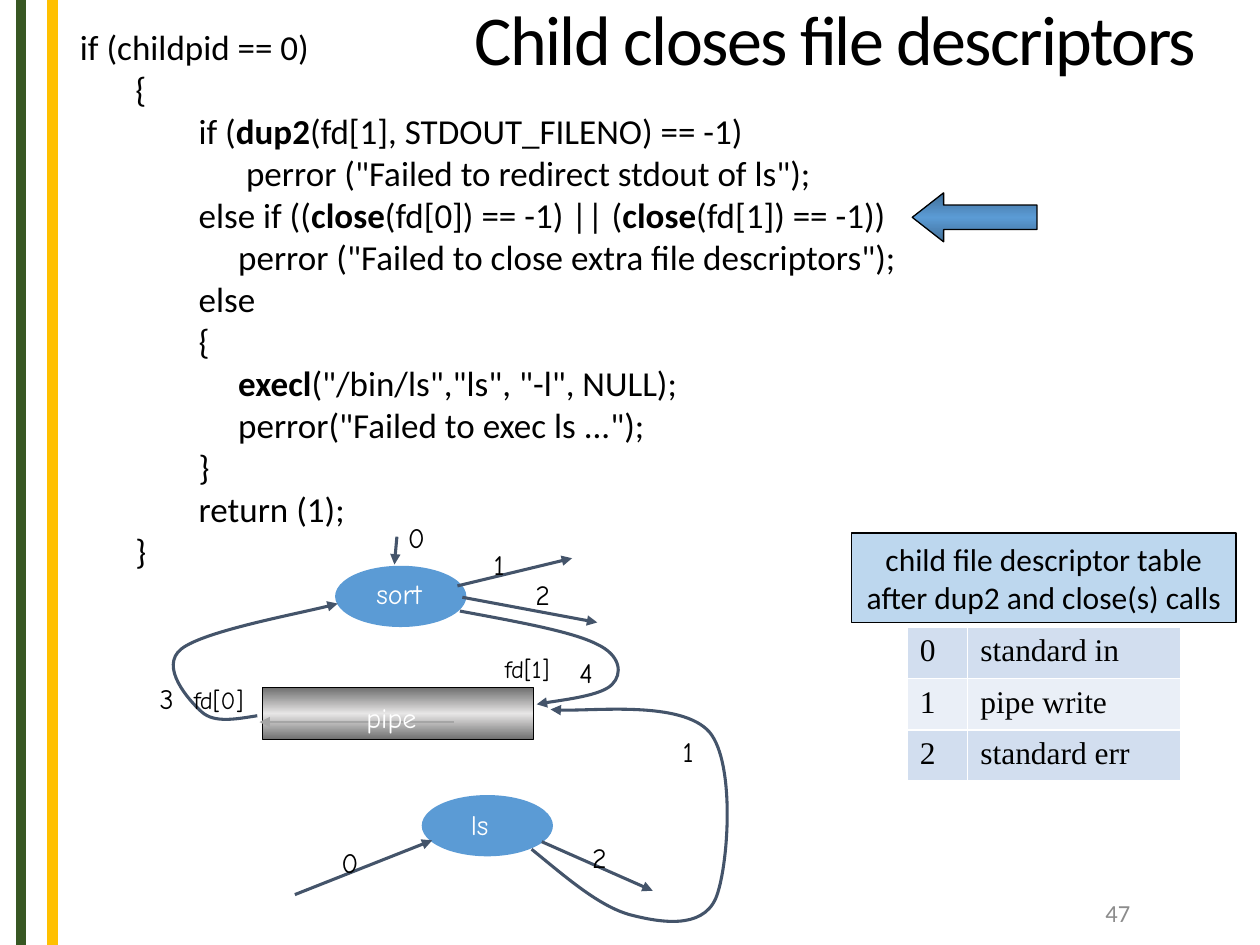
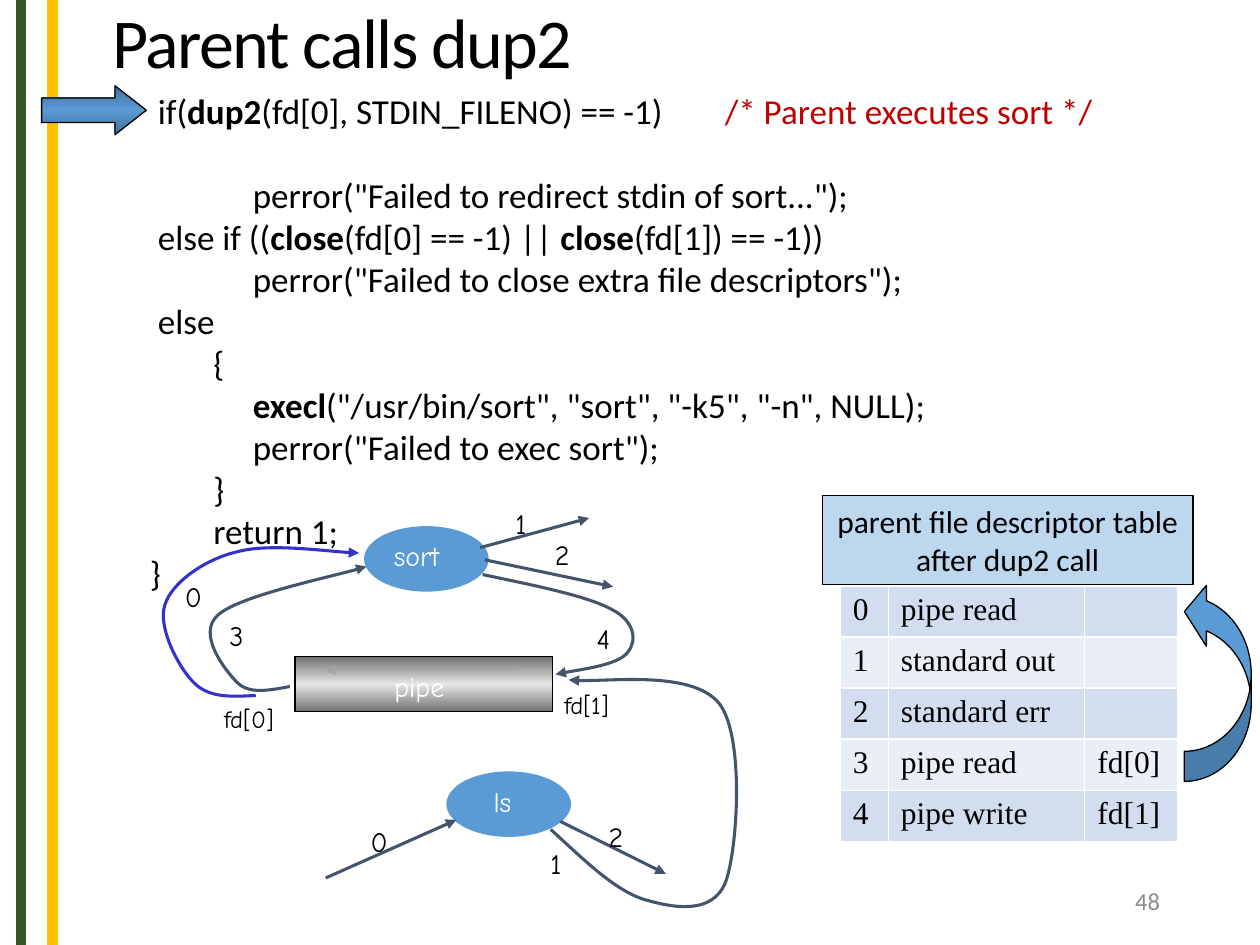
import copy

import pptx
import pptx.dml.color
import pptx.enum.shapes
import pptx.enum.text
import pptx.oxml.ns
import pptx.util
from lxml import etree

Pt = pptx.util.Pt
RGB = pptx.dml.color.RGBColor
KIND = pptx.enum.shapes.MSO_SHAPE
ALIGN = pptx.enum.text.PP_ALIGN
MIDDLE = pptx.enum.text.MSO_ANCHOR.MIDDLE
qn = pptx.oxml.ns.qn

BLACK = RGB(0, 0, 0)
WHITE = RGB(255, 255, 255)
GREEN = RGB(0x38, 0x57, 0x23)
GOLD = RGB(0xFF, 0xC0, 0x00)
BLUE = RGB(0x5B, 0x9B, 0xD5)
NAVY = RGB(0x41, 0x6F, 0x98)
PALE = RGB(0xBD, 0xD7, 0xEE)
SLATE = RGB(0x44, 0x54, 0x6A)
VIOLET = RGB(0x33, 0x33, 0xCC)
RED = RGB(0xC0, 0, 0)
GREY = RGB(0xA5, 0xA5, 0xA5)
DARK = RGB(0x70, 0x70, 0x70)
LIGHT = RGB(0xE7, 0xE6, 0xE6)
DIM = RGB(0x8C, 0x8C, 0x8C)
BANDS = [RGB(0xD2, 0xDE, 0xEF), RGB(0xEA, 0xEF, 0xF7)]

TITLE = {"name": "Calibri", "size": Pt(40)}
CODE = {"name": "Calibri", "size": Pt(20)}
NOTE = {"name": "Calibri", "size": Pt(18)}
PAGE = {"name": "Calibri", "size": Pt(14)}
CELL = {"name": "Times New Roman", "size": Pt(18)}
MARK = {"name": "Comic Neue", "size": Pt(16)}
SMALL = {"name": "Comic Neue", "size": Pt(14)}
SPACE = 4.52  # width of one code column

# The process diagram: both slides show it, the second one rescaled.
PIPE = (150, 393, 155, 29.5)
NODES = [(241, 454.3, 75, 35), (191.5, 323.3, 75, 35)]
LINKS = [
    [(168.5, 511.2), (247, 480.2)],
    [(309.6, 481), (373, 509)],
    [(261.4, 334.8), (326.9, 319)],
    [(264.2, 341.3), (341.3, 355.7)],
    [(147, 409), (134.6, 411), (122.4, 413.3), (115.2, 406.8),
     (108, 400.3), (90.7, 380.9), (103.7, 370.8),
     (116.6, 360.7), (178.6, 349.2), (193, 344.9)],
    [(262.8, 349.2), (293.8, 355), (326.2, 360.7), (340.6, 367.9),
     (355, 374.4), (355.7, 385.2), (349.9, 391),
     (344.2, 397.4), (313.9, 401), (306.7, 402.5)],
    [(303.8, 485.3), (323.3, 501.1), (342, 517.7), (360, 522.7),
     (376.6, 527), (401, 531.4), (409, 513.4),
     (416.2, 496.1), (420.5, 436.3), (405.4, 418.3),
     (389.5, 400.3), (329.8, 407.5), (314.6, 405.4)],
]
MARKS = [("pipe", 202.3, 396.7), ("ls", 262, 458), ("0", 188, 479.5),
         ("2", 331.2, 476.6), ("1", 275, 309.6), ("2", 298.8, 326.2),
         ("4", 324, 370.8)]

SLIDES = [
    {
        "title": "Child closes file descriptors",
        "head": (264, -20, 456, 90),
        "page": ("47", 491, 507),
        "body": (34, 11, 500, 346),
        "code": [
            (1, "if (childpid == 0)"),
            (8, "{"),
            (16, "if (`dup2`(fd[1], STDOUT_FILENO) == -1)"),
            (22, 'perror ("Failed to redirect stdout of ls");'),
            (16, "else if ((`close`(fd[0]) == -1) || (`close`(fd[1]) == -1))"),
            (21, 'perror ("Failed to close extra file descriptors");'),
            (16, "else"),
            (16, "{"),
            (21, '`execl`("/bin/ls","ls", "-l", NULL);'),
            (21, 'perror("Failed to exec ls ...");'),
            (16, "}"),
            (16, "return (1);"),
            (8, "}"),
        ],
        "note": ["child file descriptor table", "after dup2 and close(s) calls"],
        "box": (486.7, 304.6, 219.6, 51),
        "arrow": (521.3, 110.2, 71.3, 28),
        "turn": 0,
        "scale": (1, 1, 0, 0),
        "marks": [("sort", 208, 326), ("3", 84.2, 386), ("1", 383, 416),
                  ("0", 226, 293.8), ("fd[0]", 103.7, 388), ("fd[1]", 281.5, 370)],
        "links": [([(226.8, 306.7), (225.4, 322.6)], SLATE, 1.75),
                  ([(259.2, 412.6), (148.3, 412.6)], GREY, 0.75)],
        "grid": (518.4, 358.6),
        "cols": [34.6, 121.7],
        "rows": [["0", "standard in"], ["1", "pipe write"], ["2", "standard err"]],
    },
    {
        "title": "Parent calls dup2",
        "head": (57, -18, 555, 90),
        "page": ("48", 508, 500.4),
        "body": (78.5, 47.5, 600, 300),
        "code": [
            (1, "if(`dup2`(fd[0], STDIN_FILENO) == -1)"),
            (13, 'perror("Failed to redirect stdin of sort...");'),
            (1, "else if ((`close`(fd[0] == -1) || `close`(fd[1]) == -1))"),
            (13, 'perror("Failed to close extra file descriptors");'),
            (1, "else"),
            (8, "{"),
            (13, '`execl`("/usr/bin/sort", "sort", "-k5", "-n", NULL);'),
            (13, 'perror("Failed to exec sort");'),
            (8, "}"),
            (8, "return 1;"),
            (0, "}"),
        ],
        "note": ["parent file descriptor table", "after dup2 call"],
        "box": (470, 283, 211.7, 51),
        "arrow": (23.8, 49, 59.8, 28),
        "turn": 180,
        "scale": (0.95, 1.07, 26.1, -45.3),
        "marks": [("sort", 218, 304), ("3", 124, 350), ("1", 307.4, 480),
                  ("0", 98.6, 327.6), ("fd[0]", 121, 399), ("fd[1]", 315.4, 391)],
        "links": [([(146.2, 397.4), (132.5, 398.2), (119.5, 398.9), (110.9, 390.2),
                    (101.5, 380.9), (90, 357.8), (94.3, 345.6),
                    (97.9, 333.4), (116.6, 319.7), (135.4, 315.4),
                    (153.4, 310.3), (193.7, 316), (205.2, 316)], VIOLET, 1.75),
                  ([(296, 383), (185.8, 383)], GREY, 0.75)],
        "grid": (480.2, 334.8),
        "cols": [27.4, 112.3, 53.3],
        "rows": [["0", "pipe read", ""], ["1", "standard out", ""],
                 ["2", "standard err", ""], ["3", "pipe read", "fd[0]"],
                 ["4", "pipe write", "fd[1]"]],
    },
]


def write(frame, lines, look, ink=BLACK, form={}):
    """Fill a frame with one paragraph per line; `ticks` mark bold words."""
    frame.word_wrap = True
    for i, line in enumerate(lines):
        par = frame.add_paragraph() if i else frame.paragraphs[0]
        for key, val in form.items():
            setattr(par, key, val)
        for j, bit in enumerate(line.split("`")):
            if bit:
                run = par.add_run()
                run.text = bit
                for key, val in look.items():
                    setattr(run.font, key, val)
                run.font.bold = j % 2 == 1
                run.font.color.rgb = ink


def link(shapes, dots, ink, width, head=True):
    """Draw a straight line through two dots, or a Bezier curve through more."""
    dots = [(Pt(x), Pt(y)) for x, y in dots]
    if len(dots) == 2:
        line = shapes.add_connector(1, *dots[0], *dots[1])
        etree.SubElement(line._element.spPr, qn("a:effectLst"))
    else:
        form = shapes.build_freeform(*dots[0], scale=1.0)
        form.add_line_segments(dots[1:], close=False)
        line = form.convert_to_shape()
        line.shadow.inherit = False
        line.fill.background()
        way = line._element.find(".//" + qn("a:path"))
        legs = way.findall(qn("a:lnTo"))
        for i in range(0, len(legs), 3):
            bend = etree.SubElement(way, qn("a:cubicBezTo"))
            for leg in legs[i:i + 3]:
                bend.append(leg[0])
                way.remove(leg)
    line.line.color.rgb = ink
    line.line.width = Pt(width)
    if head:
        ln = line._element.spPr.find(qn("a:ln"))
        etree.SubElement(ln, qn("a:tailEnd"), type="triangle")
    return line


prs = pptx.Presentation()
prs.slide_width, prs.slide_height = Pt(720), Pt(540)
layout = prs.slide_layouts[1]

for num, data in enumerate(SLIDES):
    slide = prs.slides.add_slide(layout)
    shapes = slide.shapes

    if num == 0:  # the side bands belong to the layout
        for x, ink in [(12, GREEN), (30, GOLD)]:
            band = link(shapes, [(x, 0), (x, 540)], ink, 6, head=False)
            layout.shapes._spTree.append(band._element)

    title, body = shapes.title, slide.placeholders[1]
    for item, box in [(title, data["head"]), (body, data["body"])]:
        for key, val in zip(("left", "top", "width", "height"), box):
            setattr(item, key, Pt(val))
        item.text_frame.auto_size = pptx.enum.text.MSO_AUTO_SIZE.NONE
    title.text_frame.vertical_anchor = MIDDLE
    write(title.text_frame, [data["title"]], TITLE,
          form={"alignment": ALIGN.LEFT, "line_spacing": 0.85})
    title.text_frame.paragraphs[0].runs[0].font._element.set("spc", "-90")

    write(body.text_frame, [line for _, line in data["code"]], CODE,
          form={"space_before": Pt(0)})
    pars = body.text_frame.paragraphs
    for par, (cols, _) in zip(pars, data["code"]):
        props = par._p.get_or_add_pPr()
        props.set("marL", str(Pt(cols * SPACE)))
        props.set("indent", "0")
        etree.SubElement(props, qn("a:buNone"))
    if num == 1:
        tabs = etree.SubElement(pars[0]._p.pPr, qn("a:tabLst"))
        etree.SubElement(tabs, qn("a:tab"), pos=str(Pt(316)), algn="l")
        run = pars[0].add_run()
        run.text = "\t/* Parent executes sort */"
        for key, val in CODE.items():
            setattr(run.font, key, val)
        run.font.color.rgb = RED
        pars[1].space_before = Pt(24)

    note = shapes.add_shape(KIND.RECTANGLE, *map(Pt, data["box"]))
    note.shadow.inherit = False
    note.fill.solid()
    note.fill.fore_color.rgb = PALE
    note.line.color.rgb = BLACK
    note.line.width = Pt(0.75)
    note.text_frame.margin_left = note.text_frame.margin_right = 0
    write(note.text_frame, data["note"], NOTE, form={"alignment": ALIGN.CENTER})

    sx, sy, dx, dy = data["scale"]
    x, y, w, h = PIPE
    pipe = (x * sx + dx, y * sy + dy, w * sx, h * sy)
    for kind, box, edge, core in [(KIND.LEFT_ARROW, data["arrow"], NAVY, BLUE),
                                  (KIND.RECTANGLE, pipe, DARK, LIGHT)]:
        bar = shapes.add_shape(kind, *map(Pt, box))
        bar.shadow.inherit = False
        bar.line.color.rgb = BLACK
        bar.line.width = Pt(0.75)
        bar.fill.gradient()
        bar.fill.gradient_angle = 90
        stops = bar._element.find(".//" + qn("a:gsLst"))
        stops.append(copy.deepcopy(stops[0]))
        for stop, pos, ink in zip(bar.fill.gradient_stops, (0, 0.5, 1), (edge, core, edge)):
            stop.position = pos
            stop.color.rgb = ink
        if kind == KIND.LEFT_ARROW:
            bar.adjustments[1] = 0.64
            bar.rotation = data["turn"]

    for x, y, w, h in NODES:
        box = (x * sx + dx, y * sy + dy, w * sx, h * sy)
        node = shapes.add_shape(KIND.OVAL, *map(Pt, box))
        node.shadow.inherit = False
        node.fill.solid()
        node.fill.fore_color.rgb = BLUE
        node.line.fill.background()

    for dots in LINKS:
        link(shapes, [(x * sx + dx, y * sy + dy) for x, y in dots], SLATE, 1.75)
    for dots, ink, width in data["links"]:
        link(shapes, dots, ink, width)

    marks = [(text, x * sx + dx, y * sy + dy) for text, x, y in MARKS]
    for text, x, y in marks + data["marks"]:
        wide = 24 if len(text) == 1 else 47
        mark = shapes.add_textbox(Pt(x), Pt(y), Pt(wide), Pt(24))
        mark.text_frame.margin_right = 0
        write(mark.text_frame, [text], SMALL if "fd" in text else MARK,
              WHITE if text in ("pipe", "ls", "sort") else BLACK)

    if num == 1:
        turn = shapes.add_shape(KIND.CURVED_LEFT_ARROW, Pt(676.8), Pt(332), Pt(38.2), Pt(114.5))
        turn.shadow.inherit = False
        turn.rotation = 180
        turn._element.spPr.find(qn("a:xfrm")).set("flipH", "1")
        for i, val in enumerate((0.45, 0.91, 0.33)):
            turn.adjustments[i] = val
        turn.fill.solid()
        turn.fill.fore_color.rgb = BLUE
        turn.line.color.rgb = BLACK
        turn.line.width = Pt(0.75)

    text, x, y = data["page"]
    page = shapes.add_textbox(Pt(x), Pt(y), Pt(162), Pt(28.8))
    page.text_frame.vertical_anchor = MIDDLE
    write(page.text_frame, [text], PAGE, DIM, {"alignment": ALIGN.RIGHT})

    rows, cols = data["rows"], data["cols"]
    x, y = data["grid"]
    grid = shapes.add_table(len(rows), len(cols), Pt(x), Pt(y),
                            Pt(sum(cols)), Pt(29.2 * len(rows))).table
    grid.first_row = False
    for col, wide in zip(grid.columns, cols):
        col.width = Pt(wide)
    for i, row in enumerate(rows):
        for j, text in enumerate(row):
            cell = grid.cell(i, j)
            cell.fill.solid()
            cell.fill.fore_color.rgb = BANDS[i % 2]
            write(cell.text_frame, [text], CELL)

prs.save("out.pptx")
